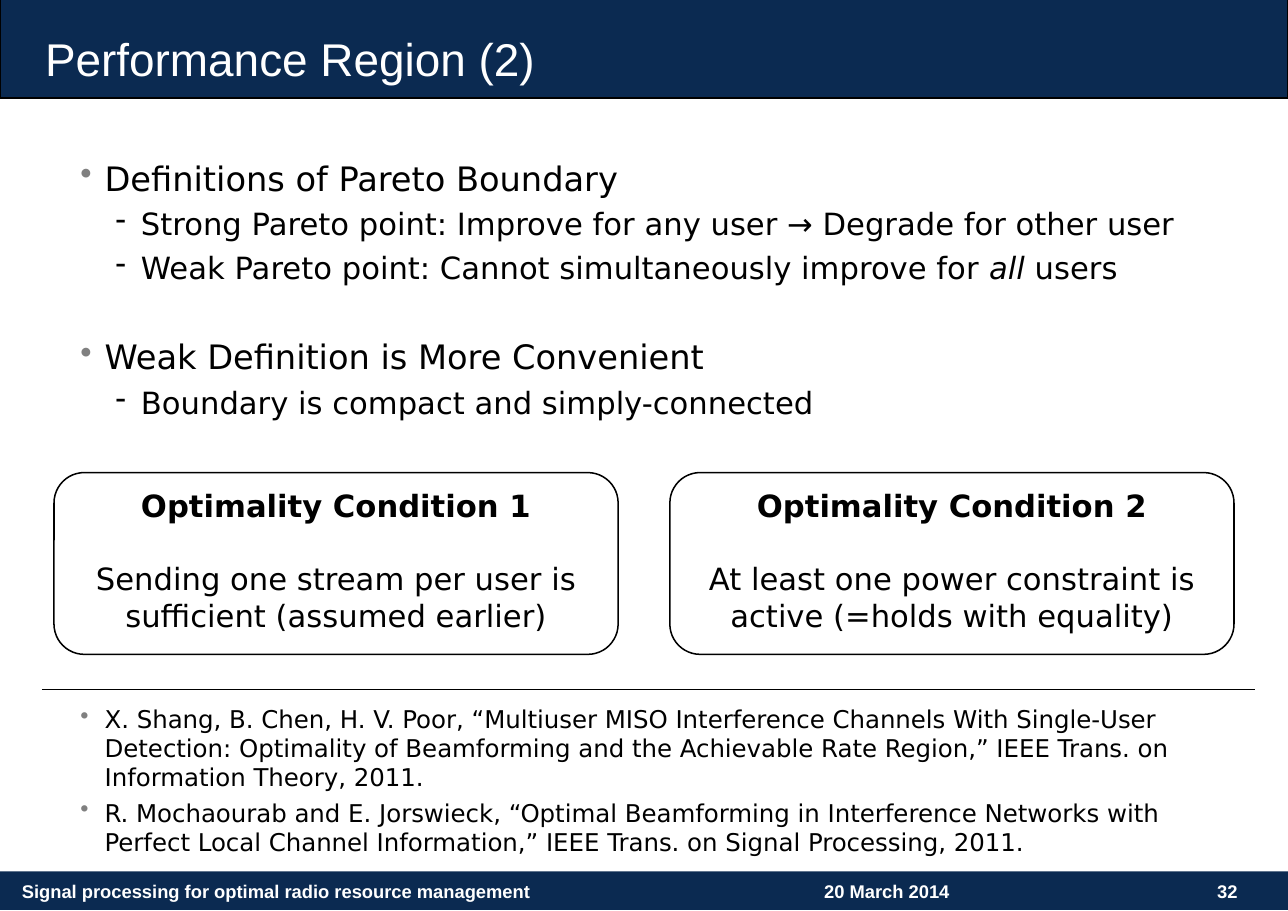
from lxml import etree
from pptx import Presentation
from pptx.dml.color import RGBColor
from pptx.enum.shapes import MSO_CONNECTOR as Line, MSO_SHAPE as Shape
from pptx.enum.text import MSO_ANCHOR as Anchor, PP_ALIGN as Align
from pptx.oxml.ns import qn
from pptx.util import Inches, Pt

NAVY, BLACK, WHITE, GRAY = "0B2A51", "000000", "FFFFFF", "808080"
SANS, HEAD = "DejaVu Sans", "Arial"
WIDTH, HEIGHT = 11.69, 8.27

TITLE = "Performance Region (2)"
# (level, space before, runs); every second run is italic
POINTS = [
    (0, 0, ["Definitions of Pareto Boundary"]),
    (1, 4.7, ["Strong Pareto point: Improve for any user → Degrade for other user"]),
    (1, 4.7, ["Weak Pareto point: Cannot simultaneously improve for ", "all ", "users"]),
    (0, 33, ["Weak Definition is More Convenient"]),
    (1, 4.7, ["Boundary is compact and simply-connected"]),
]
BOXES = [
    ("Optimality Condition 1",
     "Sending one stream per user is sufficient (assumed earlier)"),
    ("Optimality Condition 2",
     "At least one power constraint is active (=holds with equality)"),
]
PAPERS = [
    (0, 0, ["X. Shang, B. Chen, H. V. Poor, “Multiuser MISO Interference Channels "
            "With Single-User Detection: Optimality of Beamforming and the Achievable "
            "Rate Region,” IEEE Trans. on Information Theory, 2011."]),
    (0, 3.7, ["R. Mochaourab and E. Jorswieck, “Optimal Beamforming in Interference "
              "Networks with Perfect Local Channel Information,” IEEE Trans. on Signal "
              "Processing, 2011."]),
]
FOOTER = [  # left, width, alignment, text
    (0.1, 5.04, Align.LEFT, "Signal processing for optimal radio resource management"),
    (5.53, 5.04, Align.CENTER, "20 March 2014"),
    (10.85, 0.58, Align.CENTER, "32"),
]
# bullet, its colour, left margin, hanging indent
LEVELS = [("•", GRAY, 0.22, 0.22), ("-", BLACK, 0.55, 0.23)]

deck = Presentation()
deck.slide_width, deck.slide_height = Inches(WIDTH), Inches(HEIGHT)
slide = deck.slides.add_slide(deck.slide_layouts[6])
shapes = slide.shapes


def rgb(color):
    return RGBColor.from_string(color)


def style(para, size, name=SANS, color=BLACK, bold=False):
    font = para.font
    font.size, font.name, font.bold = Pt(size), name, bold
    font.color.rgb = rgb(color)


def inset(frame, left, top, right, bottom):
    frame.word_wrap = True
    frame.margin_left, frame.margin_top = Inches(left), Inches(top)
    frame.margin_right, frame.margin_bottom = Inches(right), Inches(bottom)


def add_box(kind, at, fill=None, line=None, width=1):
    box = shapes.add_shape(kind, *map(Inches, at))
    box.shadow.inherit = False
    if fill:
        box.fill.solid()
        box.fill.fore_color.rgb = rgb(fill)
    else:
        box.fill.background()
    if line:
        box.line.color.rgb = rgb(line)
        box.line.width = Pt(width)
    else:
        box.line.fill.background()
    return box


def add_label(at, text, size, margins, align=Align.LEFT, bold=False):
    frame = shapes.add_textbox(*map(Inches, at)).text_frame
    inset(frame, *margins)
    frame.vertical_anchor = Anchor.MIDDLE
    para = frame.paragraphs[0]
    para.text, para.alignment = text, align
    style(para, size, HEAD, WHITE, bold)


def add_bullet(para, level):
    mark, color, left, hang = LEVELS[level]
    props = para._p.get_or_add_pPr()
    props.set("marL", str(Inches(left)))
    props.set("indent", str(-Inches(hang)))
    tint = etree.SubElement(props, qn("a:buClr"))
    etree.SubElement(tint, qn("a:srgbClr"), val=color)
    etree.SubElement(props, qn("a:buChar"), char=mark)


def add_list(at, items, sizes):
    frame = shapes.add_textbox(*map(Inches, at)).text_frame
    inset(frame, 0, 0.05, 0.1, 0.05)
    for i, (level, gap, runs) in enumerate(items):
        para = frame.add_paragraph() if i else frame.paragraphs[0]
        add_bullet(para, level)
        para.level = level
        para.space_before = Pt(gap)
        style(para, sizes[level])
        for j, text in enumerate(runs):
            run = para.add_run()
            run.text = text
            if j % 2:
                run.font.italic = True


add_box(Shape.RECTANGLE, (0, -0.02, WIDTH, 0.91), NAVY, BLACK, 0.75)
add_box(Shape.RECTANGLE, (0, 7.91, WIDTH, 0.35), NAVY)
for left, width, align, text in FOOTER:
    add_label((left, 7.87, width, 0.44), text, 12, (0.1, 0.05, 0.1, 0.05), align, True)
add_label((0.41, 0.15, 10.67, 0.75), TITLE, 30, (0, 0.06, 0.11, 0.06))
add_list((0.73, 1.38, 10.87, 6.12), POINTS, (22, 20))

for i, (head, body) in enumerate(BOXES):
    box = add_box(Shape.ROUNDED_RECTANGLE, (0.49 + 5.59 * i, 4.29, 5.12, 1.65), line=BLACK)
    frame = box.text_frame
    inset(frame, 0.08, 0.05, 0.08, 0.05)
    frame.vertical_anchor = Anchor.TOP
    frame.text = f"{head}\n{body}"
    for para, bold in zip(frame.paragraphs, (True, False)):
        para.alignment = Align.CENTER
        style(para, 20, bold=bold)
    frame.paragraphs[1].space_before = Pt(24)

add_list((0.73, 6.34, 10.47, 1.57), PAPERS, (16,))
rule = shapes.add_connector(Line.STRAIGHT, *map(Inches, (0.38, 6.26, 11.39, 6.26)))
rule.line.color.rgb = rgb(BLACK)
rule.line.width = Pt(0.25)
etree.SubElement(rule._element.spPr, qn("a:effectLst"))

deck.save("out.pptx")
